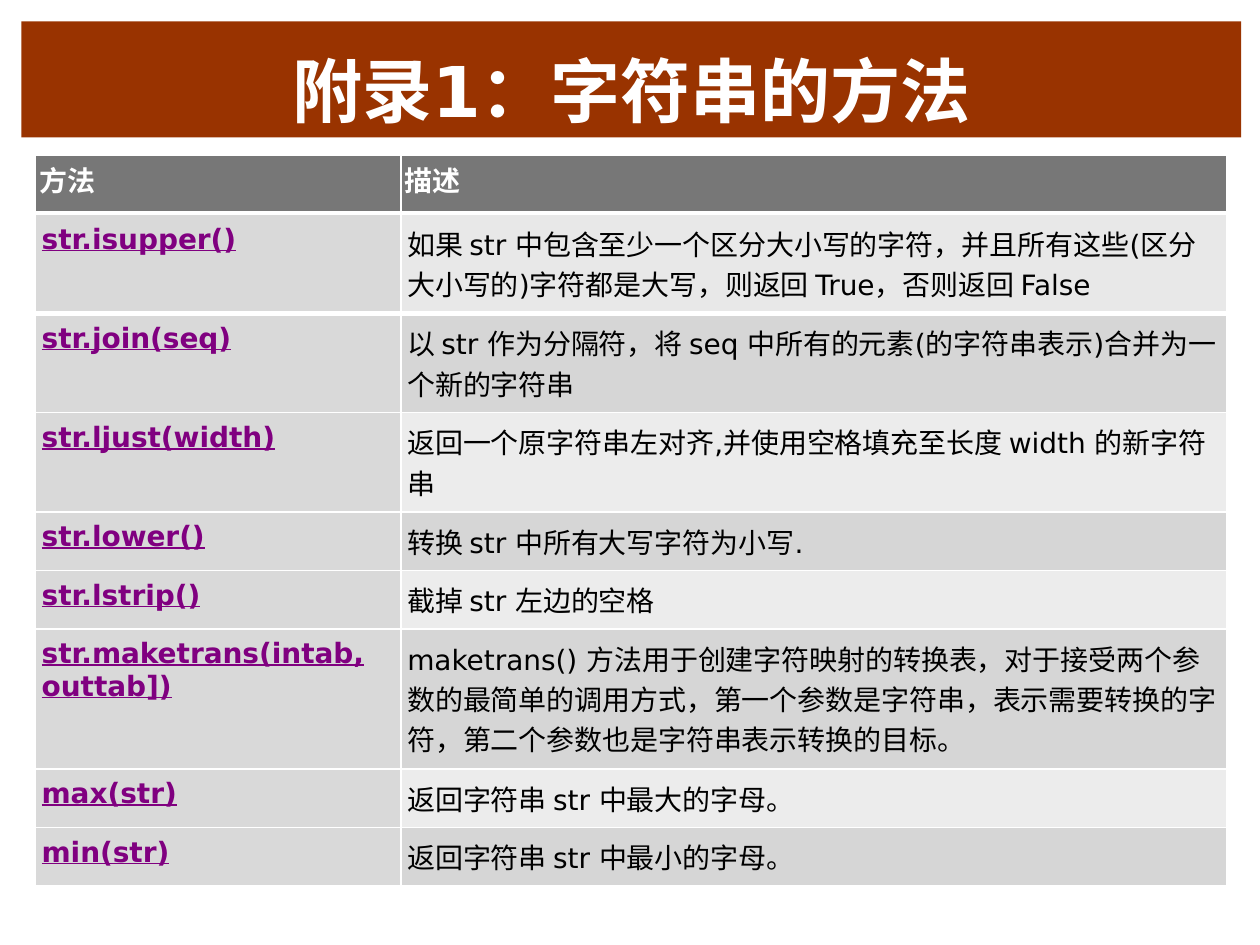
"""Build the appendix slide that lists string methods."""
from lxml import etree
from pptx import Presentation
from pptx.dml.color import RGBColor
from pptx.enum.text import MSO_ANCHOR, MSO_AUTO_SIZE, PP_ALIGN
from pptx.oxml.ns import qn
from pptx.util import Cm, Pt

CENTER, JUSTIFY, LEFT = PP_ALIGN.CENTER, PP_ALIGN.JUSTIFY, PP_ALIGN.LEFT
BOTTOM, NO_AUTOFIT = MSO_ANCHOR.BOTTOM, MSO_AUTO_SIZE.NONE
FONT = "DejaVu Sans"
WHITE = RGBColor(0xFF, 0xFF, 0xFF)
BLACK = RGBColor(0x00, 0x00, 0x00)
RUST = RGBColor(0x99, 0x33, 0x00)
PURPLE = RGBColor(0x80, 0x00, 0x80)
HEADER_GRAY = RGBColor(0x77, 0x77, 0x77)
METHOD_GRAY = RGBColor(0xD9, 0xD9, 0xD9)
FIRST_GRAY = RGBColor(0xE8, 0xE8, 0xE8)
BAND_GRAYS = (RGBColor(0xEC, 0xEC, 0xEC), RGBColor(0xD6, 0xD6, 0xD6))

TABLE_LEFT = Cm(0.71)
COLUMN_WIDTHS = (Cm(7.37), Cm(16.64))
HEADER_MARGINS = (Cm(0.08), Cm(0.08))
BODY_MARGINS = (Cm(0.13), Cm(0.18))
LINE_HEIGHT = Cm(0.82)

HEADINGS = ("方法", "描述")
METHODS = (
    ("str.isupper()", "如果 str 中包含至少一个区分大小写的字符，并且所有这些(区分大小写的)字符都是大写，则返回 True，否则返回 False", 2),
    ("str.join(seq)", "以 str 作为分隔符，将 seq 中所有的元素(的字符串表示)合并为一个新的字符串", 2),
    ("str.ljust(width)", "返回一个原字符串左对齐,并使用空格填充至长度 width 的新字符串", 2),
    ("str.lower()", "转换 str 中所有大写字符为小写.", 1),
    ("str.lstrip()", "截掉 str 左边的空格", 1),
    ("str.maketrans(intab, outtab])", "maketrans() 方法用于创建字符映射的转换表，对于接受两个参数的最简单的调用方式，第一个参数是字符串，表示需要转换的字符，第二个参数也是字符串表示转换的目标。", 3),
    ("max(str)", "返回字符串 str 中最大的字母。", 1),
    ("min(str)", "返回字符串 str 中最小的字母。", 1),
)


def write_text(frame, text, size, color, bold=True, underline=False, align=LEFT):
    """Put one formatted paragraph in a text frame."""
    frame.text = text
    para = frame.paragraphs[0]
    para.alignment = align
    for span in para.runs:
        font = span.font
        font.name, font.size = FONT, Pt(size)
        font.bold, font.underline = bold, underline
        font.color.rgb = color


def style_cell(cell, fill, margins, bottom_width=1):
    """Set the borders, fill and margins of a cell."""
    properties = cell._tc.get_or_add_tcPr()
    for side in ("lnL", "lnR", "lnT", "lnB"):
        width = bottom_width if side == "lnB" else 1
        line = etree.SubElement(properties, qn(f"a:{side}"), w=str(Pt(width)))
        solid = etree.SubElement(line, qn("a:solidFill"))
        etree.SubElement(solid, qn("a:srgbClr"), val=str(WHITE))
    cell.fill.solid()
    cell.fill.fore_color.rgb = fill
    cell.margin_left = cell.margin_right = margins[0]
    cell.margin_top = cell.margin_bottom = margins[1]


def add_grid(page, top, heights):
    """Add a two-column table with the given row heights."""
    frame = page.shapes.add_table(len(heights), len(COLUMN_WIDTHS), TABLE_LEFT, top,
                                  sum(COLUMN_WIDTHS), sum(heights))
    table = frame.table
    for column, width in zip(table.columns, COLUMN_WIDTHS):
        column.width = width
    for row, height in zip(table.rows, heights):
        row.height = height
    return table


def add_title(page, text):
    """Format the title placeholder as a coloured band."""
    box = page.shapes.title
    box.left, box.top, box.width, box.height = Cm(0.43), Cm(0.43), Cm(24.59), Cm(2.34)
    box.fill.solid()
    box.fill.fore_color.rgb = RUST
    frame = box.text_frame
    frame.auto_size = NO_AUTOFIT
    frame.vertical_anchor = BOTTOM
    write_text(frame, text, 40, WHITE, align=CENTER)


def add_header(page):
    """Add the table that holds the column headings."""
    table = add_grid(page, Cm(3.12), [Cm(1.19)])
    for cell, heading in zip(table.rows[0].cells, HEADINGS):
        style_cell(cell, HEADER_GRAY, HEADER_MARGINS, bottom_width=3)
        write_text(cell.text_frame, heading, 16, WHITE, align=JUSTIFY)


def add_methods(page):
    """Add the table of methods and their descriptions."""
    heights = [2 * BODY_MARGINS[1] + lines * LINE_HEIGHT for *_, lines in METHODS]
    table = add_grid(page, Cm(4.32), heights)
    for index, (method, description, _) in enumerate(METHODS):
        name_cell, text_cell = table.rows[index].cells
        bottom_width = 1 if index else 3
        band = BAND_GRAYS[index % 2] if index else FIRST_GRAY
        style_cell(name_cell, METHOD_GRAY, BODY_MARGINS, bottom_width)
        style_cell(text_cell, band, BODY_MARGINS, bottom_width)
        write_text(name_cell.text_frame, method, 16, PURPLE, underline=True)
        write_text(text_cell.text_frame, description, 16, BLACK, bold=False)


def main():
    """Build and save the deck."""
    deck = Presentation()
    deck.slide_width, deck.slide_height = Cm(25.4), Cm(19.05)
    page = deck.slides.add_slide(deck.slide_layouts[5])
    add_title(page, "附录1：字符串的方法")
    add_header(page)
    add_methods(page)
    deck.save("out.pptx")


if __name__ == "__main__":
    main()
